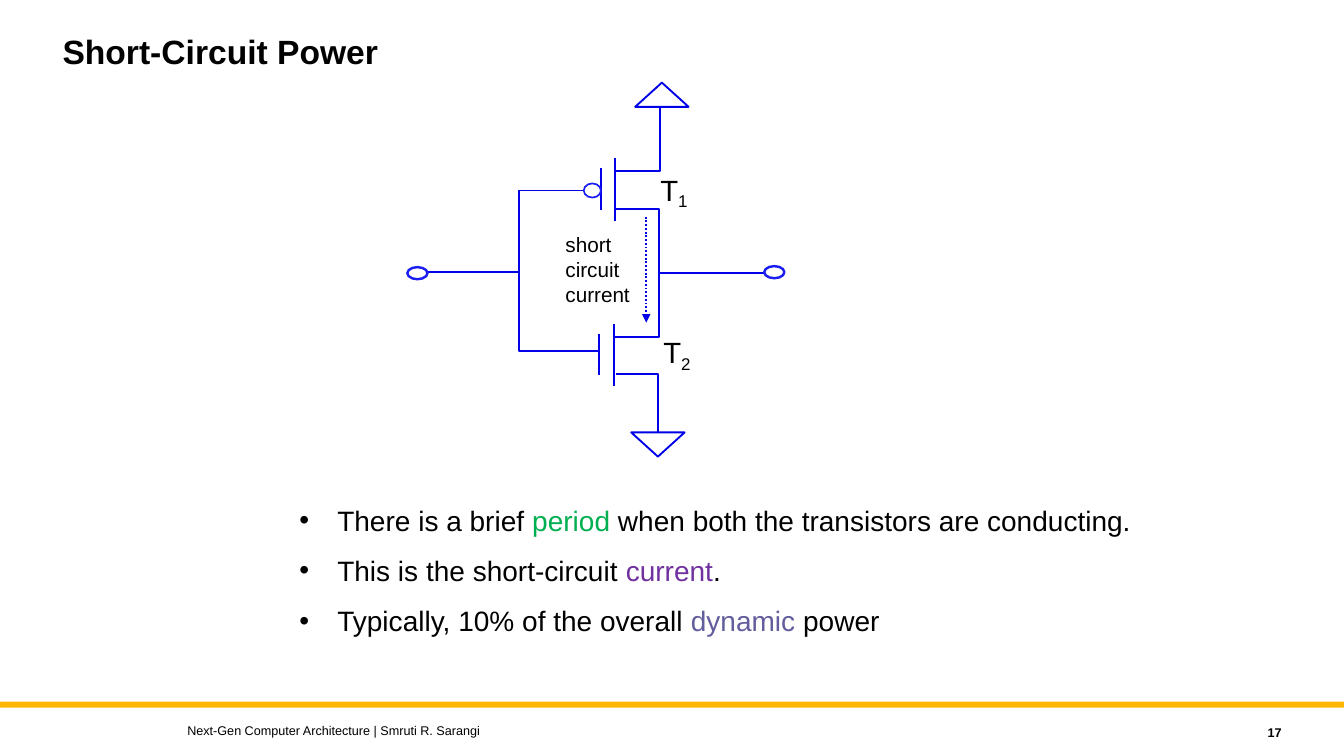
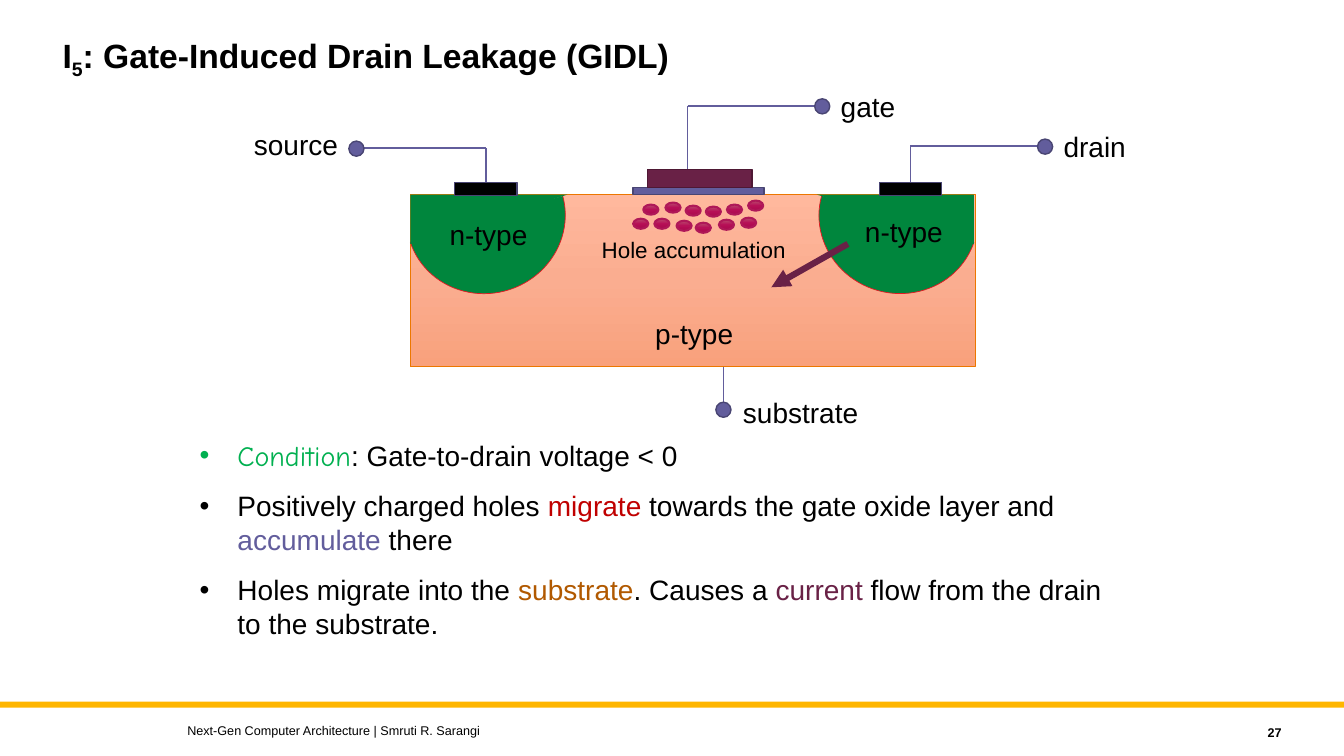
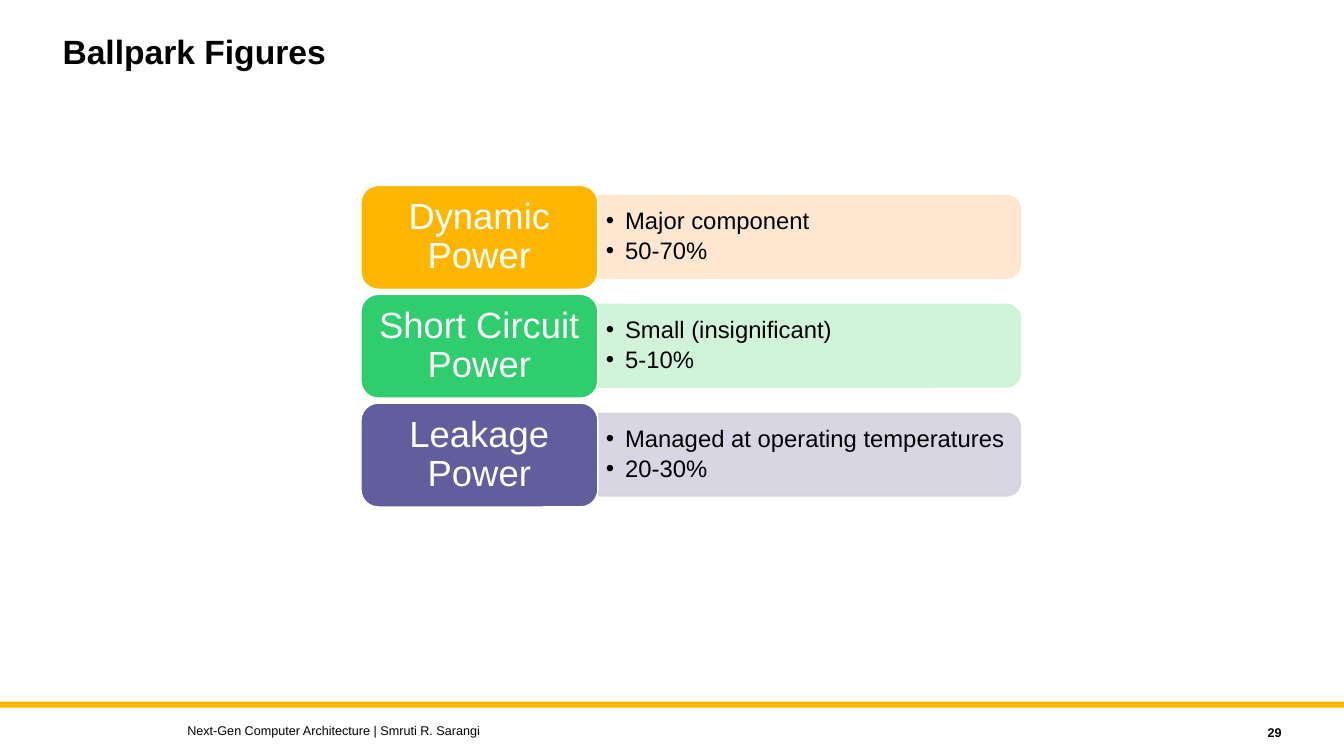
import copy
from dataclasses import dataclass

import pptx
import pptx.dml.color
import pptx.enum.dml
import pptx.enum.shapes
import pptx.enum.text
import pptx.oxml.ns
import pptx.util
from lxml import etree

Inches = pptx.util.Inches
Pt = pptx.util.Pt
SHAPE = pptx.enum.shapes.MSO_SHAPE
ALIGN = pptx.enum.text.PP_ALIGN
ANCHOR = pptx.enum.text.MSO_ANCHOR
qn = pptx.oxml.ns.qn


@dataclass(frozen=True)
class Theme:
    font: str = "Arial"
    accent_font: str = "Comic Neue"
    black: str = "000000"
    white: str = "FFFFFF"
    band: str = "FFB600"
    wire: str = "0000E8"
    terminal: str = "1B1EF3"
    violet: str = "625D9C"
    violet_edge: str = "494573"
    plum: str = "692146"
    plum_edge: str = "4E1834"
    green: str = "00B050"
    purple: str = "7030A0"
    red: str = "C00000"
    brown: str = "B15900"
    n_type: str = "00863D"
    n_type_edge: str = "E21A23"
    p_type: tuple = ("FFB89D", "FAAD90", "F9A17C")
    p_type_edge: str = "EC7700"
    hole: tuple = ("BA4D6E", "B71057", "A9084C")
    hole_edge: str = "AF1858"
    emerald: str = "2FCD6E"
    pale_orange: str = "FFE5CC"
    pale_green: str = "CDF2D7"
    pale_violet: str = "D3D2DF"
    title_size: float = 24
    body_size: float = 20
    transistor_size: float = 20.9
    current_size: float = 14.8
    hole_label_size: float = 16
    footer_size: float = 9
    category_size: float = 26
    detail_size: float = 17
    wire_width: float = 1.33


THEME = Theme()


@dataclass(frozen=True)
class Run:
    text: str
    color: str = THEME.black
    font: str = THEME.font
    baseline: int = 0


def rgb(color):
    return pptx.dml.color.RGBColor.from_string(color)


def box(*lengths):
    return [Inches(length) for length in lengths]


def add_runs(paragraph, runs, size, bold=False):
    for item in runs:
        run = paragraph.add_run()
        run.text = item.text
        run.font.name = item.font
        run.font.size = Pt(size)
        run.font.bold = bold
        run.font.color.rgb = rgb(item.color)
        if item.baseline:
            run.font._element.set("baseline", str(item.baseline * 1000))


def fill_text(frame, paragraphs, size, bold=False, align=ALIGN.LEFT, space_before=0,
              line_spacing=None):
    """Write one list of runs per paragraph into a text frame."""
    for index, runs in enumerate(paragraphs):
        paragraph = frame.add_paragraph() if index else frame.paragraphs[0]
        paragraph.alignment = align
        paragraph.space_before = Pt(space_before if index else 0)
        if line_spacing:
            paragraph.line_spacing = line_spacing
        add_runs(paragraph, runs, size, bold)


def add_label(slide, at, paragraphs, size, wrap=False, anchor=ANCHOR.TOP, **style):
    label = slide.shapes.add_textbox(*box(*at))
    label.text_frame.word_wrap = wrap
    label.text_frame.vertical_anchor = anchor
    fill_text(label.text_frame, paragraphs, size, **style)
    return label


def style_outline(shape, color, width):
    if color:
        shape.line.color.rgb = rgb(color)
        shape.line.width = Pt(width)
    else:
        shape.line.fill.background()


def fill_gradient(shape, colors):
    """Fill from top to bottom with three evenly spaced colours."""
    shape.fill.gradient()
    shape.fill.gradient_angle = 270
    stop_list = shape.element.find(".//" + qn("a:gsLst"))
    stop_list.append(copy.deepcopy(stop_list[0]))
    for index, stop in enumerate(shape.fill.gradient_stops):
        stop.color.rgb = rgb(colors[index])
        stop.position = index / 2


def add_figure(slide, kind, at, fill=None, line=None, width=1.0, rotation=0):
    """Add a preset shape; fill is a colour, three gradient colours or None."""
    shape = slide.shapes.add_shape(kind, *box(*at))
    shape.shadow.inherit = False
    shape.rotation = rotation
    if fill is None:
        shape.fill.background()
    elif isinstance(fill, tuple):
        fill_gradient(shape, fill)
    else:
        shape.fill.solid()
        shape.fill.fore_color.rgb = rgb(fill)
    style_outline(shape, line, width)
    return shape


def add_line(slide, start, end, color, width, arrow=False, dash=None):
    connector = slide.shapes.add_connector(
        pptx.enum.shapes.MSO_CONNECTOR.STRAIGHT, *box(*start, *end))
    style_outline(connector, color, width)
    if dash:
        connector.line.dash_style = dash
    properties = connector.element.spPr
    if arrow:
        etree.SubElement(properties.find(qn("a:ln")), qn("a:tailEnd"), type="triangle")
    etree.SubElement(properties, qn("a:effectLst"))
    return connector


def add_wire(slide, *points):
    """Draw a circuit wire: a line for two points, a bent outline for more."""
    if len(points) == 2:
        add_line(slide, *points, THEME.wire, THEME.wire_width)
        return
    corners = [box(*point) for point in points]
    builder = slide.shapes.build_freeform(*corners[0])
    builder.add_line_segments(corners[1:], close=False)
    wire = builder.convert_to_shape()
    wire.shadow.inherit = False
    wire.fill.background()
    style_outline(wire, THEME.wire, THEME.wire_width)


def add_band(presentation, slide):
    """Draw the band and move it behind everything on the slide master."""
    band = add_figure(slide, SHAPE.RECTANGLE, (0, 6.96, 13.33, 0.06), THEME.band)
    presentation.slide_master.shapes.element.insert(2, band.element)


def place(placeholder, at):
    placeholder.left, placeholder.top, placeholder.width, placeholder.height = box(*at)
    frame = placeholder.text_frame
    frame.auto_size = pptx.enum.text.MSO_AUTO_SIZE.NONE
    frame.vertical_anchor = ANCHOR.TOP
    return frame


def add_slide(presentation, layout_index, title, number):
    slide = presentation.slides.add_slide(presentation.slide_layouts[layout_index])
    frame = place(slide.shapes.title, (0.52, 0.3, 10, 0.9))
    fill_text(frame, [title], THEME.title_size, bold=True, line_spacing=0.9)
    add_label(slide, (1.76, 7.12, 8, 0.25),
              [[Run("Next-Gen Computer Architecture | Smruti R. Sarangi")]],
              THEME.footer_size, wrap=True, anchor=ANCHOR.MIDDLE)
    add_label(slide, (11.41, 7.14, 1.4, 0.25), [[Run(str(number))]], THEME.footer_size,
              wrap=True, anchor=ANCHOR.MIDDLE, bold=True, align=ALIGN.RIGHT)
    return slide


def add_bullets(slide, at, paragraphs):
    fill_text(place(slide.placeholders[1], at), paragraphs, THEME.body_size, space_before=12)


def draw_inverter(slide):
    add_wire(slide, (4.24, 2.7), (5.15, 2.7), (5.15, 1.89), (5.79, 1.89))
    add_wire(slide, (5.15, 2.7), (5.15, 3.48), (5.94, 3.48))
    add_wire(slide, (6.11, 1.7), (6.55, 1.7), (6.55, 1.06))
    add_wire(slide, (6.11, 2.07), (6.54, 2.07), (6.54, 3.34), (6.1, 3.34))
    add_wire(slide, (6.11, 3.71), (6.53, 3.71), (6.53, 4.29))
    add_wire(slide, (6.54, 2.71), (7.58, 2.71))
    for x, top, height in ((5.96, 1.67, 0.41), (6.1, 1.57, 0.62),
                           (5.94, 3.31, 0.41), (6.09, 3.21, 0.62)):
        add_wire(slide, (x, top), (x, top + height))
    add_figure(slide, SHAPE.OVAL, (5.79, 1.82, 0.17, 0.14), line=THEME.terminal, width=1.23)
    for left, top in ((4.04, 2.65), (7.58, 2.64)):
        add_figure(slide, SHAPE.OVAL, (left, top, 0.2, 0.12), line=THEME.terminal, width=1.73)
    for left, top, rotation in ((6.3, 0.82, 0), (6.26, 4.29, 180)):
        add_figure(slide, SHAPE.ISOSCELES_TRIANGLE, (left, top, 0.53, 0.24),
                   line=THEME.wire, width=THEME.wire_width, rotation=rotation)
    add_line(slide, (6.41, 2.15), (6.41, 3.2), THEME.wire, THEME.wire_width, arrow=True,
             dash=pptx.enum.dml.MSO_LINE.ROUND_DOT)
    for left, top, index in ((6.45, 1.66, "1"), (6.48, 3.27, "2")):
        add_label(slide, (left, top, 0.49, 0.46), [[Run("T"), Run(index, baseline=-22)]],
                  THEME.transistor_size)
    add_label(slide, (5.51, 2.25, 0.85, 0.83),
              [[Run(word)] for word in ("short", "circuit", "current")], THEME.current_size)


def add_terminal(slide, center, label, label_at):
    x, y = center
    add_figure(slide, SHAPE.OVAL, (x - 0.07, y - 0.07, 0.15, 0.15),
               THEME.violet, THEME.violet_edge)
    add_label(slide, label_at, [[Run(label)]], THEME.body_size)


def add_lead(slide, start, terminal, label, label_at, pad=None):
    """Run a wire up from start, then sideways to a labelled terminal."""
    corner = (start[0], terminal[1])
    riser = add_line(slide, start, corner, THEME.violet, 1)
    if pad is not None:
        riser.begin_connect(pad, 0)
    add_line(slide, corner, terminal, THEME.violet, 1)
    add_terminal(slide, terminal, label, label_at)


def add_well(slide, arc_left, rotation, corner_left, apex, label_at):
    """Add an n-type well: a half-round part and the triangle that levels its top."""
    arc = add_figure(slide, SHAPE.ARC, (arc_left, 1.4, 1.58, 1.51),
                     THEME.n_type, THEME.n_type_edge, 0.5, rotation)
    arc.adjustments[0] = 109.59
    arc.adjustments[1] = 0
    corner = add_figure(slide, SHAPE.ISOSCELES_TRIANGLE, (corner_left, 1.93, 1.56, 0.49),
                        THEME.n_type, rotation=180)
    corner.adjustments[0] = apex
    add_label(slide, (*label_at, 0.98, 0.44), [[Run("n-type")]], THEME.body_size)


def draw_transistor(slide):
    add_figure(slide, SHAPE.RECTANGLE, (4.07, 1.93, 5.6, 1.71),
               THEME.p_type, THEME.p_type_edge, 0.5)
    add_label(slide, (6.4, 3.09, 0.98, 0.44), [[Run("p-type")]], THEME.body_size)
    add_well(slide, 4.03, 161.9, 4.07, 1, (4.36, 2.11))
    add_well(slide, 8.12, 195.6, 8.1, 0, (8.48, 2.08))

    for left, terminal, label, label_at in (
            (4.51, (3.53, 1.47), "source", (2.42, 1.22, 1.04, 0.44)),
            (8.72, (10.36, 1.45), "drain", (10.45, 1.24, 0.83, 0.44))):
        pad = add_figure(slide, SHAPE.RECTANGLE, (left, 1.81, 0.62, 0.13),
                         THEME.black, THEME.violet_edge)
        add_lead(slide, (left + 0.31, 1.81), terminal, label, label_at, pad)

    add_figure(slide, SHAPE.RECTANGLE, (6.28, 1.86, 1.3, 0.07), THEME.violet, THEME.violet_edge)
    add_figure(slide, SHAPE.RECTANGLE, (6.42, 1.68, 1.04, 0.18), THEME.plum, THEME.plum_edge)
    add_lead(slide, (6.82, 1.68), (8.15, 1.05), "gate", (8.24, 0.84, 0.75, 0.44))

    add_line(slide, (7.17, 3.64), (7.17, 4.04), THEME.violet, 0.5)
    add_terminal(slide, (7.17, 4.06), "substrate", (7.27, 3.87, 1.35, 0.44))

    holes = ((6.38, 2.03), (6.6, 2.01), (6.8, 2.04), (7, 2.05), (7.21, 2.03), (7.42, 1.99),
             (6.28, 2.17), (6.49, 2.17), (6.71, 2.19), (6.9, 2.21), (7.13, 2.18), (7.35, 2.16))
    for left, top in holes:
        add_figure(slide, SHAPE.OVAL, (left, top, 0.15, 0.1), THEME.hole, THEME.hole_edge, 1.5)
    add_label(slide, (5.87, 2.29, 2.04, 0.37), [[Run("Hole accumulation")]],
              THEME.hole_label_size)
    add_line(slide, (8.41, 2.42), (7.65, 2.85), THEME.plum, 4.5, arrow=True)


def set_margins(frame, horizontal, vertical):
    frame.margin_left = frame.margin_right = Inches(horizontal)
    frame.margin_top = frame.margin_bottom = Inches(vertical)


def add_bullet_mark(paragraph, indent):
    properties = paragraph._p.get_or_add_pPr()
    properties.set("marL", str(Inches(indent)))
    properties.set("indent", str(-Inches(indent)))
    etree.SubElement(properties, qn("a:buFont"), typeface=THEME.font)
    etree.SubElement(properties, qn("a:buChar"), char="•")


def add_category(slide, top, name, details, color, pale):
    """Add one row: a coloured name block and a pale panel of bullets."""
    length, depth, left = 4.18, 0.82, 5.94
    middle = top + 0.51
    panel = add_figure(slide, SHAPE.ROUND_2_SAME_RECTANGLE,
                       (left + (length - depth) / 2, middle - length / 2, depth, length),
                       pale, pale, rotation=90)
    for solid in panel.element.spPr.iter(qn("a:srgbClr")):
        etree.SubElement(solid, qn("a:alpha"), val="90000")
    text = add_label(slide, (left, middle - 0.37, 4.14, 0.74),
                     [[Run(detail)] for detail in details], THEME.detail_size,
                     wrap=True, anchor=ANCHOR.MIDDLE, line_spacing=0.9)
    set_margins(text.text_frame, 0.07, 0.04)
    for paragraph in text.text_frame.paragraphs:
        paragraph.space_after = Pt(3)
        add_bullet_mark(paragraph, 0.19)

    block = add_figure(slide, SHAPE.ROUNDED_RECTANGLE, (3.58, top, 2.35, 1.03),
                       color, THEME.white)
    block.text_frame.word_wrap = True
    block.text_frame.vertical_anchor = ANCHOR.MIDDLE
    set_margins(block.text_frame, 0.1, 0.05)
    fill_text(block.text_frame, [[Run(name, THEME.white)]], THEME.category_size,
              align=ALIGN.CENTER, line_spacing=0.9)


def build_short_circuit(presentation):
    slide = add_slide(presentation, 1, [Run("Short-Circuit Power")], 17)
    add_band(presentation, slide)
    draw_inverter(slide)
    add_bullets(slide, (2.87, 4.94, 8.63, 1.57), [
        [Run("There is a brief "), Run("period", THEME.green),
         Run(" when both the transistors are conducting.")],
        [Run("This is the short-circuit "), Run("current", THEME.purple), Run(".")],
        [Run("Typically, 10% of the overall "), Run("dynamic ", THEME.violet), Run("power")],
    ])


def build_drain_leakage(presentation):
    title = [Run("I"), Run("5", baseline=-25), Run(": Gate-Induced Drain Leakage (GIDL)")]
    slide = add_slide(presentation, 1, title, 27)
    draw_transistor(slide)
    add_bullets(slide, (1.88, 4.3, 9.4, 2.14), [
        [Run("Condition", THEME.green, THEME.accent_font), Run(": Gate-to-drain voltage < 0")],
        [Run("Positively charged holes "), Run("migrate", THEME.red),
         Run(" towards the gate oxide layer and "), Run("accumulate", THEME.violet),
         Run(" there")],
        [Run("Holes migrate into the "), Run("substrate", THEME.brown), Run(". Causes a "),
         Run("current", THEME.plum), Run(" flow from the drain to the substrate.")],
    ])


def build_ballpark(presentation):
    slide = add_slide(presentation, 5, [Run("Ballpark Figures")], 29)
    categories = (
        ("Dynamic Power", ("Major component", "50-70%"), THEME.band, THEME.pale_orange),
        ("Short Circuit Power", ("Small (insignificant)", "5-10%"),
         THEME.emerald, THEME.pale_green),
        ("Leakage Power", ("Managed at operating temperatures", "20-30%"),
         THEME.violet, THEME.pale_violet),
    )
    for index, category in enumerate(categories):
        add_category(slide, 1.84 + 1.08 * index, *category)


def main():
    presentation = pptx.Presentation()
    presentation.slide_width, presentation.slide_height = box(13.33, 7.5)
    build_short_circuit(presentation)
    build_drain_leakage(presentation)
    build_ballpark(presentation)
    presentation.save("out.pptx")


if __name__ == "__main__":
    main()
